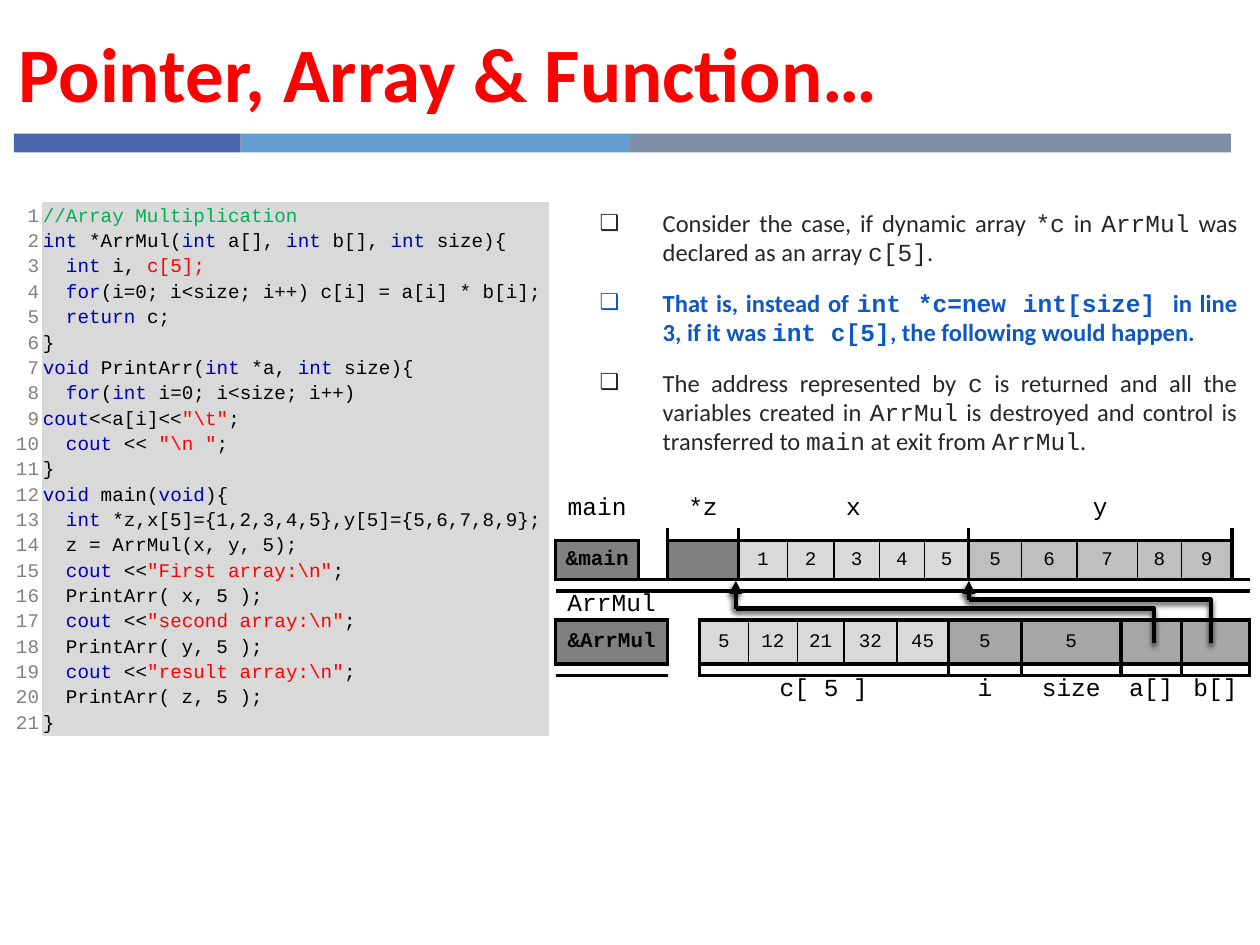
"""Builds a slide on returning a local array from a function."""
from dataclasses import dataclass
from itertools import accumulate

from lxml import etree
from pptx import Presentation
from pptx.dml.color import RGBColor
from pptx.enum.shapes import MSO_CONNECTOR, MSO_SHAPE
from pptx.enum.text import MSO_ANCHOR, MSO_AUTO_SIZE, PP_ALIGN
from pptx.oxml.ns import qn
from pptx.util import Inches, Pt

ELBOW, STRAIGHT = MSO_CONNECTOR.ELBOW, MSO_CONNECTOR.STRAIGHT
RECTANGLE = MSO_SHAPE.RECTANGLE
MIDDLE, TOP = MSO_ANCHOR.MIDDLE, MSO_ANCHOR.TOP
NO_FIT = MSO_AUTO_SIZE.NONE
LEFT, CENTER, RIGHT, JUSTIFY = PP_ALIGN.LEFT, PP_ALIGN.CENTER, PP_ALIGN.RIGHT, PP_ALIGN.JUSTIFY
NO_STYLE_TABLE = "{2D5ABB26-0587-4C30-8999-92F81FD0307C}"


@dataclass(frozen=True)
class Theme:
    sans: str = "Calibri"
    mono: str = "Courier New"
    black: str = "000000"
    title: str = "FF0000"
    body: str = "262626"
    accent: str = "0E58C4"
    keyword: str = "0000B0"
    literal: str = "FF0000"
    comment: str = "00B050"
    number: str = "808080"
    light: str = "D9D9D9"
    medium: str = "BFBFBF"
    dark: str = "A6A6A6"
    frame: str = "808080"
    title_size: int = 44
    body_size: int = 14
    name_size: int = 12
    code_size: int = 11
    thick: float = 2.25
    thin: float = 1
    arrow: float = 2.5


THEME = Theme()


@dataclass(frozen=True)
class Style:
    font: str
    size: float
    color: str
    bold: bool = False


@dataclass(frozen=True)
class Block:
    """Upper-case edges are thick, lower-case edges are thin."""
    row: int
    column: int
    span: int
    edges: str = ""
    text: str = ""
    fill: str = ""
    size: int = THEME.body_size
    bold: bool = False


CODE_STYLES = {mark: Style(THEME.mono, THEME.code_size, color) for mark, color in (
    ("$", THEME.black), ("@", THEME.keyword), ("~", THEME.literal), ("^", THEME.comment))}
CODE = r"""^//Array Multiplication
@int$ *ArrMul(@int$ a[], @int$ b[], @int$ size){
  @int $i, ~c[5];
  @for$(i=0; i<size; i++) c[i] = a[i] * b[i];
  @return$ c;
}
@void $PrintArr(@int$ *a, @int$ size){
  @for$(@int $i=0; i<size; i++) @cout$<<a[i]<<~"\t"$;
  @cout $<< ~"\n "$;
}
@void$ main(@void$){
  @int$ *z,x[5]={1,2,3,4,5},y[5]={5,6,7,8,9};
  z = ArrMul(x, y, 5);
  @cout $<<~"First array:\n"$;
  PrintArr( x, 5 );
  @cout $<<~"second array:\n"$;
  PrintArr( y, 5 );
  @cout $<<~"result array:\n"$;
  PrintArr( z, 5 );
}""".splitlines()
LINE_COUNT = 21
POINTS = (
    ("$Consider the case, if dynamic array `*c$ in `ArrMul$ was declared as an array `c[5]$. ",
     THEME.body, False),
    ("$That is, instead of `int *c=new int[size] $in line 3, if it was `int c[5]$, "
     "the following would happen.", THEME.accent, True),
    ("$The address represented by `c$ is returned and all the variables created in `ArrMul$ "
     "is destroyed and control is transferred to `main$ at exit from `ArrMul$. ",
     THEME.body, False),
)
BARS = ((0.11, 1.8, "4A66AC"), (1.91, 3.09, "629DD1"), (5, 4.77, "7F8FA9"))
MEMORY_COLUMNS = (0.66, 0.23, 0.25, 0.31, 0.08, 0.31, 0.08, 0.29, 0.08, 0.28, 0.14,
                  0.22, 0.19, 0.16, 0.42, 0.44, 0.35, 0.13, 0.35, 0.4, 0.14)
MEMORY_ROWS = (0.3, 0.1, 0.31, 0.09, 0.23, 0.35, 0.09, 0.23, 0.05)
POINTERS = ((9.16, 4.83, 5.84), (9.61, 4.76, 7.69))
POINTER_START, POINTER_TIP = 5.1, 4.61


def strip(row: int, start: int, spans: tuple, texts: tuple, fill: str) -> list[Block]:
    """Lay array elements side by side, thin lines between them."""
    columns = accumulate(spans[:-1], initial=start)
    last = len(spans) - 1
    return [Block(row, column, span, f"{'l' if i else 'L'}T{'R' if i == last else 'r'}B",
                  text, fill, THEME.code_size)
            for i, (column, span, text) in enumerate(zip(columns, spans, texts))]


def memory_blocks() -> list[Block]:
    """List the blocks of both stack frames."""
    caller = ((2, 2, "*z"), (4, 10, "x"), (14, 6, "y"))
    callee = ((3, 10, "c[ 5 ]"), (13, 2, "i"), (15, 2, "size"), (17, 2, "a[]"), (19, 2, "b[]"))
    blocks = [Block(0, 0, 1, text="main"), Block(1, 0, 1, "B"),
              Block(2, 0, 1, "LTRB", "&main", THEME.frame, THEME.name_size, True),
              Block(2, 2, 2, "LTRB", fill=THEME.frame), Block(3, 0, 21, "TB"),
              Block(4, 0, 2, "B", "ArrMul"), Block(4, 3, 18, "B"),
              Block(5, 0, 2, "LTRB", "&ArrMul", THEME.frame, THEME.name_size, True),
              Block(6, 0, 2, "TB"), Block(8, 0, 21)]
    blocks += [Block(0, column, span, text=text) for column, span, text in caller]
    blocks += [Block(1, column, span, "LRB") for column, span, _ in caller]
    blocks += strip(2, 4, (2,) * 5, tuple("12345"), THEME.light)
    blocks += strip(2, 14, (1, 1, 2, 1, 1), tuple("56789"), THEME.medium)
    blocks += strip(5, 3, (2,) * 5, ("5", "12", "21", "32", "45"), THEME.light)
    blocks += [Block(5, column, 2, "LTRB", text, THEME.dark, THEME.code_size)
               for column, text in ((13, "5"), (15, "5"), (17, ""), (19, ""))]
    blocks += [Block(6, column, span, "LTRB") for column, span, _ in callee]
    blocks += [Block(7, column, span, text=text) for column, span, text in callee]
    return blocks


def write(para, text: str, styles: dict[str, Style], align=LEFT) -> None:
    """Write marked text as spans; each mark starts a new style."""
    para.alignment = align
    pieces = [[next(iter(styles)), ""]]
    for letter in text:
        if letter in styles:
            pieces.append([letter, ""])
        else:
            pieces[-1][1] += letter
    for mark, piece in pieces:
        if piece:
            span, style = para.add_run(), styles[mark]
            span.text = piece
            span.font.name, span.font.size, span.font.bold = style.font, Pt(style.size), style.bold
            span.font.color.rgb = RGBColor.from_string(style.color)


def write_lines(frame, lines, styles: dict[str, Style], align=LEFT) -> None:
    """Write one code line per paragraph."""
    for i, line in enumerate(lines):
        para = frame.add_paragraph() if i else frame.paragraphs[0]
        para.line_spacing = 1.15
        write(para, line, styles, align)


def add_grid(page, left: float, top: float, columns: tuple, rows: tuple):
    """Add an unstyled table with the given track sizes."""
    holder = page.shapes.add_table(len(rows), len(columns), Inches(left), Inches(top),
                                   Inches(sum(columns)), Inches(sum(rows)))
    table = holder.table
    table.first_row = table.horz_banding = False
    table._tbl.tblPr.find(qn("a:tableStyleId")).text = NO_STYLE_TABLE
    for tracks, sizes, side in ((table.columns, columns, "width"), (table.rows, rows, "height")):
        for track, size in zip(tracks, sizes):
            setattr(track, side, Inches(size))
    for cell in table.iter_cells():
        cell.margin_left = cell.margin_right = cell.margin_top = cell.margin_bottom = 0
        cell.fill.background()
    return table


def draw_block(table, block: Block) -> None:
    """Merge, border, fill and label one block of memory."""
    cell = table.cell(block.row, block.column)
    if block.span > 1:
        cell.merge(table.cell(block.row, block.column + block.span - 1))
    cell.vertical_anchor = MIDDLE
    properties = cell._tc.get_or_add_tcPr()
    edges = sorted(block.edges, key=lambda edge: "LRTB".index(edge.upper()))
    for i, edge in enumerate(edges):
        width = THEME.thick if edge.isupper() else THEME.thin
        line = etree.Element(qn(f"a:ln{edge.upper()}"), w=str(Pt(width)))
        fill = etree.SubElement(line, qn("a:solidFill"))
        etree.SubElement(fill, qn("a:srgbClr"), val=THEME.black)
        properties.insert(i, line)
    if block.fill:
        cell.fill.solid()
        cell.fill.fore_color.rgb = RGBColor.from_string(block.fill)
    style = Style(THEME.mono, block.size, THEME.black, block.bold)
    write(cell.text_frame.paragraphs[0], block.text, {"$": style}, CENTER)


def draw_memory(page) -> None:
    """Draw the stack frames of main and ArrMul."""
    table = add_grid(page, 4.41, 3.89, MEMORY_COLUMNS, MEMORY_ROWS)
    for block in memory_blocks():
        draw_block(table, block)
    for cell in table.iter_cells():
        if not cell.text_frame.text:
            etree.SubElement(cell.text_frame.paragraphs[0]._p, qn("a:endParaRPr"), sz="100")


def draw_line(page, kind, start: tuple, end: tuple) -> None:
    """Draw one shadowed part of a pointer; straight parts carry the head."""
    line = page.shapes.add_connector(kind, *map(Inches, start + end))
    line.line.width = Pt(THEME.arrow)
    line.line.color.rgb = RGBColor.from_string(THEME.black)
    properties = line._element.spPr
    if kind == ELBOW:
        guides = properties.find(qn("a:prstGeom")).get_or_add_avLst()
        etree.SubElement(guides, qn("a:gd"), name="adj1", fmla="val 0")
    else:
        etree.SubElement(line.line._get_or_add_ln(), qn("a:tailEnd"), type="triangle")
    effects = etree.SubElement(properties, qn("a:effectLst"))
    shadow = etree.SubElement(effects, qn("a:outerShdw"), blurRad=str(Pt(3)), dist=str(Pt(2)),
                              dir=str(110 * 60000), algn="ctr", rotWithShape="0")
    color = etree.SubElement(shadow, qn("a:srgbClr"), val=THEME.black)
    etree.SubElement(color, qn("a:alpha"), val="75000")


def draw_code(page) -> None:
    """Draw the numbered listing."""
    table = add_grid(page, 0.03, 1.6, (0.3, 4.03), (4.24,))
    numbers, code = table.cell(0, 0), table.cell(0, 1)
    for cell in (numbers, code):
        cell.margin_left = cell.margin_right = cell.margin_top = cell.margin_bottom = Inches(0.01)
    numbers.margin_right = Inches(0.02)
    code.fill.solid()
    code.fill.fore_color.rgb = RGBColor.from_string(THEME.light)
    style = Style(THEME.mono, THEME.code_size, THEME.number)
    write_lines(numbers.text_frame, map(str, range(1, LINE_COUNT + 1)), {"$": style}, RIGHT)
    write_lines(code.text_frame, CODE, CODE_STYLES)


def place(box, left: float, top: float, width: float, height: float, anchor) -> None:
    """Move a placeholder and fix its text size."""
    box.left, box.top, box.width, box.height = map(Inches, (left, top, width, height))
    box.text_frame.auto_size, box.text_frame.vertical_anchor = NO_FIT, anchor


def draw_heading(page) -> None:
    """Write the title above its three-part bar."""
    for left, width, color in BARS:
        bar = page.shapes.add_shape(RECTANGLE, *map(Inches, (left, 1.06, width, 0.15)))
        bar.shadow.inherit = False
        bar.fill.solid()
        bar.fill.fore_color.rgb = RGBColor.from_string(color)
        bar.line.fill.background()
    title = page.shapes.title
    place(title, 0.05, 0.12, 7.16, 0.9, MIDDLE)
    style = Style(THEME.sans, THEME.title_size, THEME.title, True)
    write(title.text_frame.paragraphs[0], "Pointer, Array & Function…", {"$": style})


def draw_points(page) -> None:
    """Write the bulleted explanation."""
    body = page.placeholders[1]
    place(body, 4.66, 1.6, 5.26, 2.35, TOP)
    for i, (text, color, bold) in enumerate(POINTS):
        para = body.text_frame.add_paragraph() if i else body.text_frame.paragraphs[0]
        para.space_before, para.space_after = Pt(0), Pt(12)
        write(para, text, {"$": Style(THEME.sans, THEME.body_size, color, bold),
                           "`": Style(THEME.mono, THEME.body_size, color, bold)}, JUSTIFY)
        properties = para._p.get_or_add_pPr()
        properties.set("marL", str(Inches(0.5)))
        properties.set("indent", str(-Inches(0.5)))
        etree.SubElement(properties, qn("a:buSzPct"), val="90000")
        etree.SubElement(properties, qn("a:buChar"), char="❑")


def main() -> None:
    """Build and save the deck."""
    deck = Presentation()
    deck.slide_width, deck.slide_height = Inches(10), Inches(7.5)
    page = deck.slides.add_slide(deck.slide_layouts[1])
    draw_heading(page)
    draw_points(page)
    draw_memory(page)
    for start, level, end in POINTERS:
        draw_line(page, ELBOW, (start, POINTER_START), (end, level))
        draw_line(page, STRAIGHT, (end, level), (end, POINTER_TIP))
    draw_code(page)
    deck.save("out.pptx")


if __name__ == "__main__":
    main()
